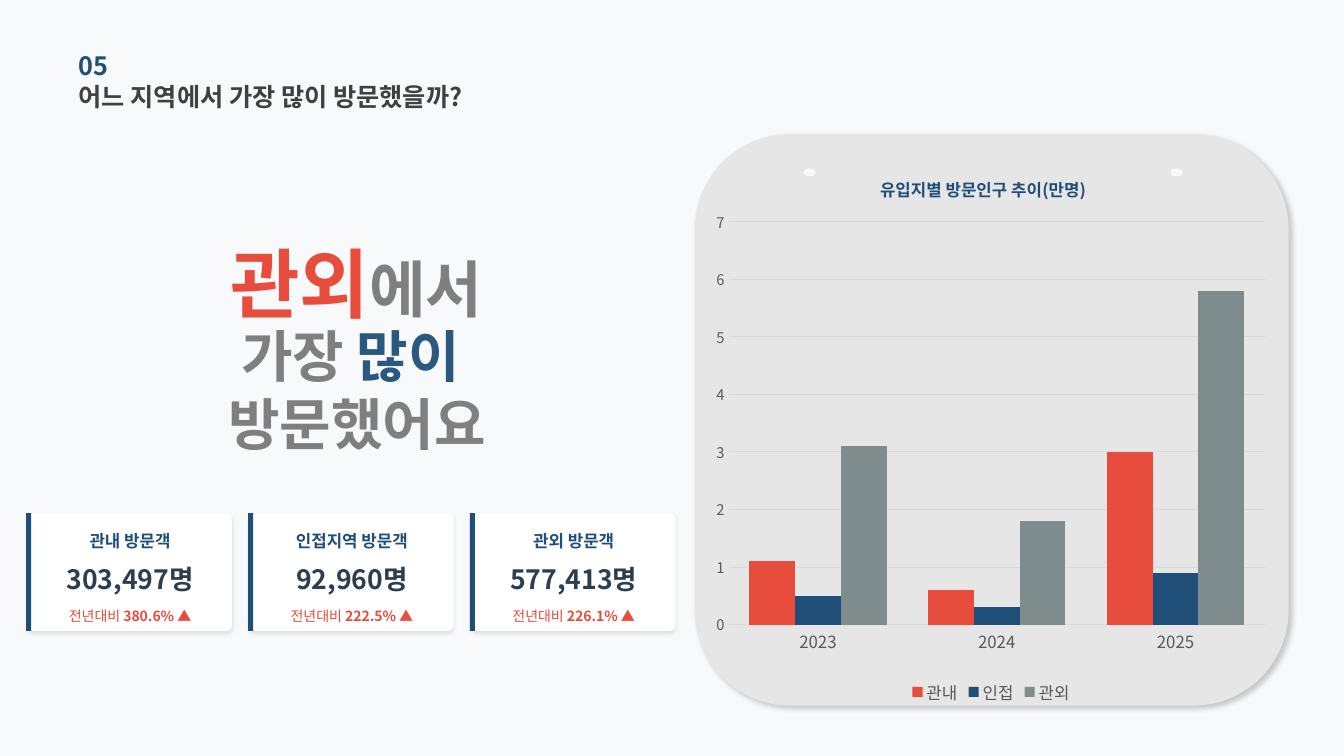
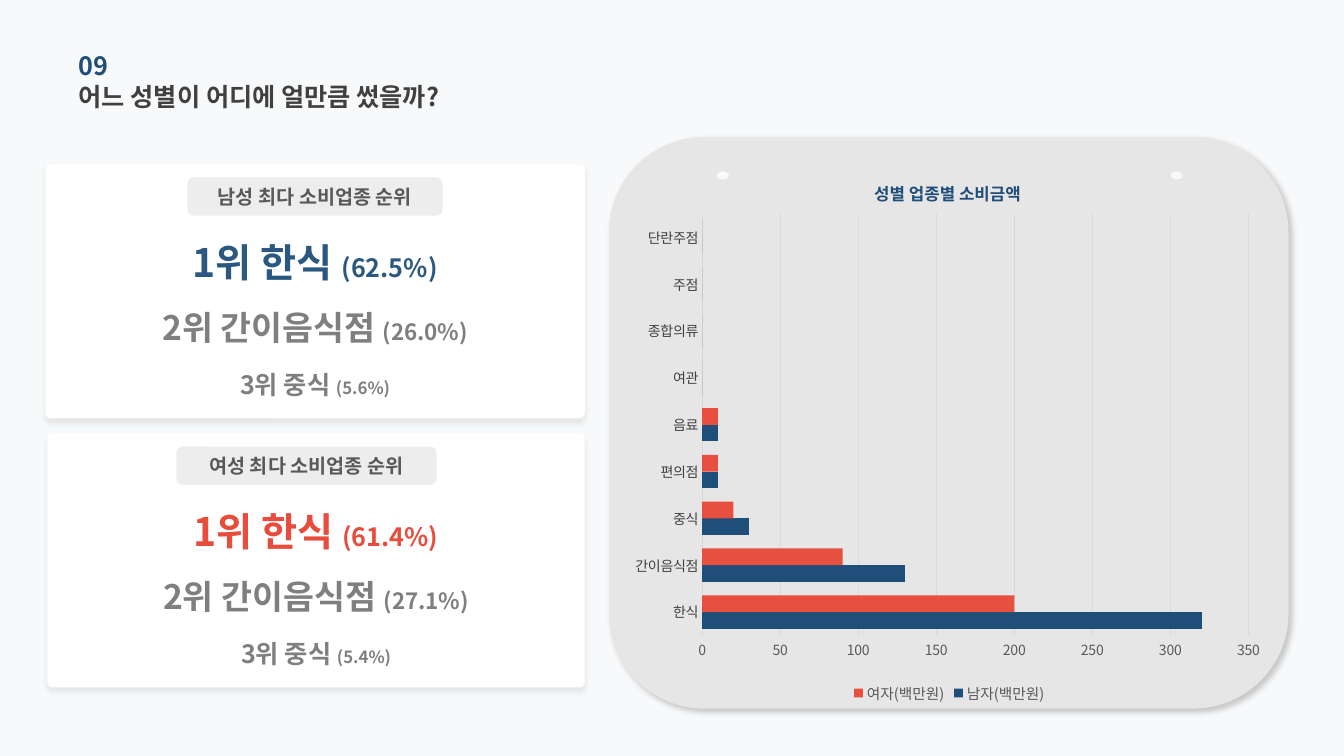
from lxml.etree import SubElement
from pptx import Presentation
from pptx.chart.data import CategoryChartData
from pptx.dml.color import RGBColor
from pptx.enum.chart import XL_CHART_TYPE as Chart, XL_LEGEND_POSITION as Legend, XL_TICK_MARK as Tick
from pptx.enum.shapes import MSO_SHAPE as Shape
from pptx.enum.text import MSO_ANCHOR as Anchor, MSO_AUTO_SIZE as AutoSize, PP_ALIGN as Align
from pptx.oxml import parse_xml
from pptx.oxml.ns import nsdecls, qn
from pptx.util import Emu, Pt

PX = 9144  # EMU per px, 100 px to the inch
FONT = "Noto Sans CJK KR"
COLORS = {
    "page": "F8F9FA", "panel": "E7E6E6", "card": "FFFFFF", "badge": "D0CECE",
    "navy": "1F4E79", "blue": "2B5880", "red": "E74C3C", "slate": "7F8C8D",
    "ink": "2C3E50", "heading": "404040", "label": "595959", "muted": "7F7F7F",
    "grid": "D9D9D9",
}


def px(*lengths):
    return [Emu(length * PX) for length in lengths]


def paint(fill, color, alpha=100):
    fill.solid()
    fill.fore_color.rgb = RGBColor.from_string(COLORS[color])
    if alpha < 100:
        srgb = fill._xPr.find(qn("a:solidFill")).find(qn("a:srgbClr"))
        SubElement(srgb, qn("a:alpha"), val=str(alpha * 1000))


def style_font(font, size, color, bold=False):
    font.size, font.bold, font.name = Pt(size), bold, FONT
    paint(font.fill, color)
    latin = font._rPr.find(qn("a:latin"))
    latin.addnext(parse_xml(f'<a:ea {nsdecls("a")} typeface="{FONT}"/>'))


def write(frame, lines, align=Align.CENTER, size=12, color="label", bold=True):
    """Fill a text frame; each line is a string or a list of (text, overrides)."""
    frame.word_wrap, frame.auto_size = True, AutoSize.NONE
    frame.vertical_anchor = Anchor.MIDDLE
    frame.margin_left = frame.margin_right = frame.margin_top = frame.margin_bottom = 0
    for index, line in enumerate(lines):
        paragraph = frame.add_paragraph() if index else frame.paragraphs[0]
        paragraph.alignment = align
        for words, overrides in [(line, {})] if isinstance(line, str) else line:
            run = paragraph.add_run()
            run.text = words
            style_font(run.font, **{"size": size, "color": color, "bold": bold, **overrides})


def place(parent, index, x, y, w=None, h=None):
    """Give a chart part a fixed place, in fractions of the chart."""
    for old in parent.findall(qn("c:layout")):
        parent.remove(old)
    layout = parse_xml(f'<c:layout {nsdecls("c")}><c:manualLayout/></c:layout>')
    parts = [("xMode", "edge"), ("yMode", "edge"), ("x", x), ("y", y)]
    if w:
        parts = [("layoutTarget", "inner"), *parts, ("w", w), ("h", h)]
    for tag, value in parts:
        SubElement(layout[0], qn(f"c:{tag}"), val=str(value))
    parent.insert(index, layout)


class Deck:
    def __init__(self):
        self.prs = Presentation()
        self.prs.slide_width, self.prs.slide_height = px(1333, 750)
        paint(self.prs.slide_master.background.fill, "page")

    def new_slide(self, number, question):
        self.slide = self.prs.slides.add_slide(self.prs.slide_layouts[5])
        self.canvas = self.slide.shapes
        title = self.canvas.title
        title.left, title.top, title.width, title.height = px(78, 75, 528, 41)
        write(title.text_frame, [question], align=Align.LEFT, size=18, color="heading")
        self.text([number], 78, 44, 452, 41, align=Align.LEFT, size=18, color="navy")

    def start_group(self):
        self.canvas = self.slide.shapes.add_group_shape().shapes

    def end_group(self):
        self.canvas = self.slide.shapes

    def text(self, lines, x, y, w, h, **style):
        write(self.canvas.add_textbox(*px(x, y, w, h)).text_frame, lines, **style)

    def shape(self, kind, color, x, y, w, h, corner=None, alpha=100, shadow=None):
        shape = self.canvas.add_shape(kind, *px(x, y, w, h))
        paint(shape.fill, color, alpha)
        shape.line.fill.background()
        shape.shadow.inherit = False
        if corner is not None:
            shape.adjustments[0] = corner
        if shadow:
            opacity, blur, distance, angle = shadow
            effects = shape._element.spPr.find(qn("a:effectLst"))
            effects.append(parse_xml(
                f'<a:outerShdw {nsdecls("a")} blurRad="{Pt(blur)}" dist="{Pt(distance)}" '
                f'dir="{angle * 60000}" algn="tl" rotWithShape="0"><a:srgbClr val="000000">'
                f'<a:alpha val="{opacity * 1000}"/></a:srgbClr></a:outerShdw>'))
        return shape

    def panel(self, x, y, w, holes):
        self.shape(Shape.ROUNDED_RECTANGLE, "panel", x, y, w, 567, shadow=(20, 4, 3, 45))
        for hole in holes:
            self.shape(Shape.OVAL, "page", hole, y + 34, 12, 8)

    def visitor_card(self, x, y, region, visitors, growth):
        self.shape(Shape.ROUNDED_RECTANGLE, "card", x, y, 202, 117,
                   corner=0.05, shadow=(10, 3, 2, 90))
        self.shape(Shape.RECTANGLE, "navy", x - 2, y, 5, 117)
        self.text([region], x, y + 16, 202, 22, size=12, color="navy")
        self.text([visitors], x, y + 48, 202, 34, size=19, color="ink")
        self.text([[("전년대비 ", {"bold": False}), (growth, {})]],
                  x, y + 92, 202, 20, size=10, color="red")

    def ranking_card(self, x, y, w, heading, badge_x, badge_w, top_color, ranks):
        self.start_group()
        self.shape(Shape.ROUNDED_RECTANGLE, "card", x, y, w, 252,
                   corner=0.02, shadow=(8, 4, 3, 90))
        badge = self.shape(Shape.ROUNDED_RECTANGLE, "badge", badge_x, y + 13, badge_w, 38, alpha=36)
        write(badge.text_frame, [heading], size=14)
        rows = [(73, 48, 28, 18, top_color), (119, 84, 24, 16, "muted"), (176, 84, 18, 12, "muted")]
        for (rank, share), (offset, height, size, share_size, color) in zip(ranks, rows):
            self.text([[(rank + " ", {}), (share, {"size": share_size})]],
                      x, y + offset, w, height, size=size, color=color)
        self.end_group()

    def chart(self, kind, box, title, title_at, plot_at, categories, series,
              gap, top, step, cat_font, val_font, legend_size):
        data = CategoryChartData()
        data.categories = categories
        for name, values, *_ in series:
            data.add_series(name, values)
        chart = self.canvas.add_chart(kind, *px(*box), data).chart
        style_font(chart.font, 10, "label")

        # Title and legend
        heading = chart.chart_title
        write(heading.text_frame, [title], size=12, color="navy")
        heading.include_in_layout = False
        place(heading._element, 1, *title_at)
        chart.has_legend = True
        chart.legend.position, chart.legend.include_in_layout = Legend.BOTTOM, False
        style_font(chart.legend.font, legend_size, "label")

        # Bars
        plot = chart.plots[0]
        plot.gap_width, plot.overlap, plot.vary_by_categories = gap, 0, False
        for bars, (_, _, color, *alpha) in zip(plot.series, series):
            paint(bars.format.fill, color, *alpha)
            bars.invert_if_negative = False
        place(chart._chartSpace.chart.plotArea, 0, *plot_at)

        # Axes
        for axis, font in ((chart.category_axis, cat_font), (chart.value_axis, val_font)):
            axis.major_tick_mark = axis.minor_tick_mark = Tick.NONE
            style_font(axis.tick_labels.font, *font)
        scale = chart.value_axis
        scale.minimum_scale, scale.maximum_scale, scale.major_unit = 0, top, step
        scale.tick_labels.number_format = "0"
        scale.tick_labels.number_format_is_linked = False
        scale.format.line.fill.background()
        for line in (chart.category_axis.format.line, scale.major_gridlines.format.line):
            paint(line.fill, "grid")
            line.width = Pt(0.75)


def visitors_slide(deck):
    deck.new_slide("05", "어느 지역에서 가장 많이 방문했을까?")
    deck.panel(689, 133, 589, holes=(797, 1161))

    # Key message
    deck.text([[("관외", {"size": 54, "color": "red"}), ("에서", {})]],
              139, 256, 429, 48, size=44, color="muted")
    deck.text([[("가장", {}), (" 많이 ", {"color": "blue"})], "방문했어요"],
              78, 344, 552, 84, size=40, color="muted")

    # Visitor cards
    cards = [("관내 방문객", "303,497명", "380.6% ▲"),
             ("인접지역 방문객", "92,960명", "222.5% ▲"),
             ("관외 방문객", "577,413명", "226.1% ▲")]
    for index, card in enumerate(cards):
        deck.visitor_card(28 + 220 * index, 509, *card)

    deck.chart(Chart.COLUMN_CLUSTERED, (700, 148, 566, 555), "유입지별 방문인구 추이(만명)",
               title_at=(0.3, 0.04), plot_at=(0.04, 0.13, 0.94, 0.72),
               categories=["2023", "2024", "2025"],
               series=[("관내", (1.1, 0.6, 3), "red"),
                       ("인접", (0.5, 0.3, 0.9), "navy"),
                       ("관외", (3.1, 1.8, 5.8), "slate")],
               gap=90, top=7, step=1, cat_font=(12, "label"), val_font=(10.5, "label"),
               legend_size=12)


def spending_slide(deck):
    deck.new_slide("09", "어느 성별이 어디에 얼만큼 썼을까?")
    deck.panel(604, 136, 674, holes=(711, 1161))

    # Rankings by gender
    deck.ranking_card(45, 163, 535, "남성 최다 소비업종 순위", 186, 253, "blue",
                      [("1위 한식", "(62.5%)"), ("2위 간이음식점", "(26.0%)"), ("3위 중식", "(5.6%)")])
    deck.ranking_card(47, 430, 533, "여성 최다 소비업종 순위", 175, 258, "red",
                      [("1위 한식", "(61.4%)"), ("2위 간이음식점", "(27.1%)"), ("3위 중식", "(5.4%)")])

    deck.chart(Chart.BAR_CLUSTERED, (619, 152, 645, 550), "성별 업종별 소비금액",
               title_at=(0.38, 0.04), plot_at=(0.12, 0.11, 0.84, 0.76),
               categories=["한식", "간이음식점", "중식", "편의점", "음료",
                           "여관", "종합의류", "주점", "단란주점"],
               series=[("남자(백만원)", (320, 130, 30, 10, 10, 0, 0, 0, 0), "navy"),
                       ("여자(백만원)", (200, 90, 20, 10, 10, 0, 0, 0, 0), "red", 98)],
               gap=80, top=350, step=50, cat_font=(10, "heading"), val_font=(10, "label"),
               legend_size=10.5)


def main():
    deck = Deck()
    visitors_slide(deck)
    spending_slide(deck)
    deck.prs.save("out.pptx")


if __name__ == "__main__":
    main()
